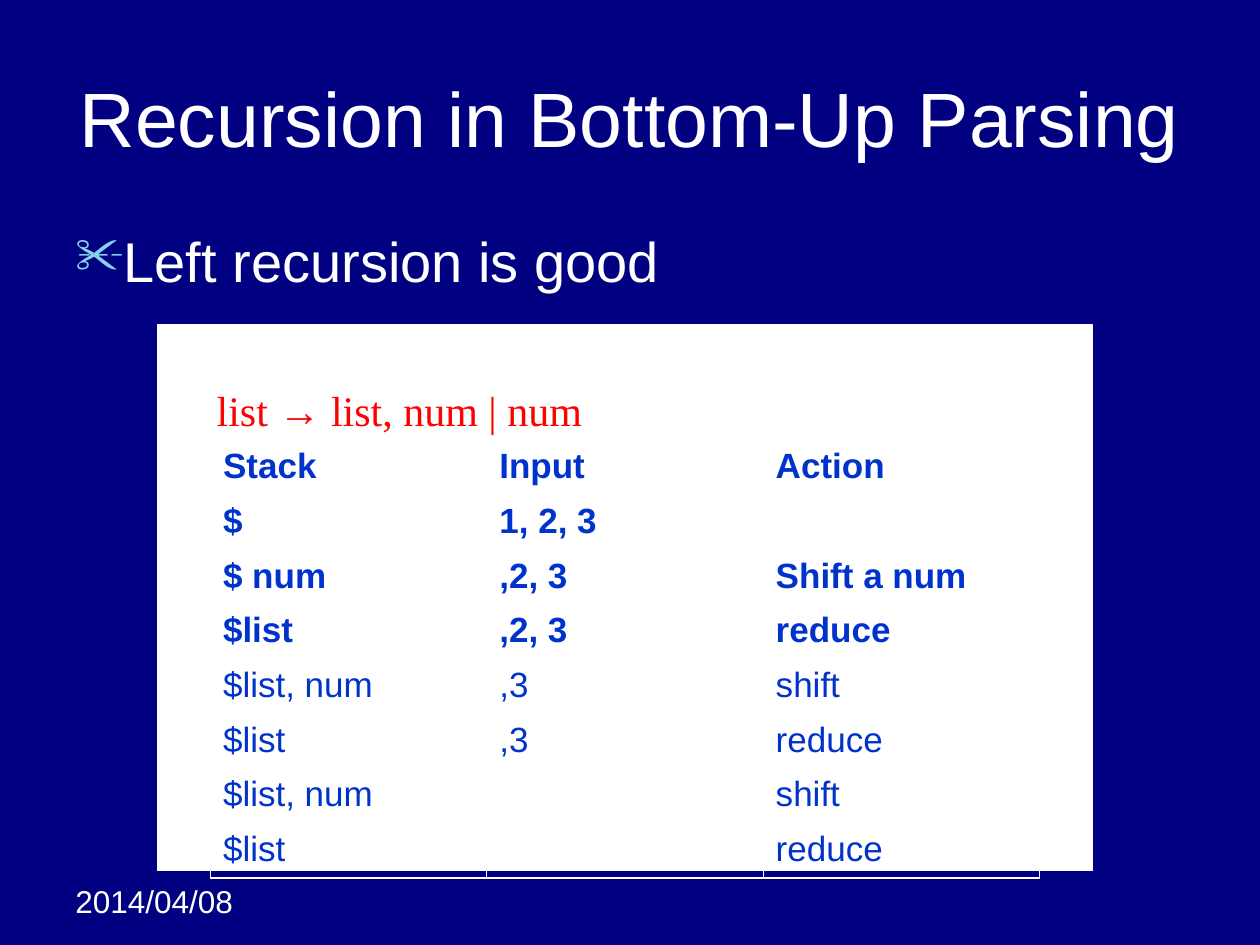
from dataclasses import dataclass
from typing import NamedTuple

from lxml.etree import SubElement
from pptx import Presentation
from pptx.dml.color import RGBColor
from pptx.enum.shapes import MSO_SHAPE
from pptx.enum.text import MSO_ANCHOR, PP_ALIGN
from pptx.oxml.ns import qn
from pptx.util import Inches, Pt


@dataclass(frozen=True)
class Theme:
    navy: str = "000080"
    white: str = "FFFFFF"
    blue: str = "0033CC"
    red: str = "FF0000"
    sky: str = "86D1EC"
    sans: str = "Arial"
    serif: str = "Times New Roman"
    title: int = 44
    body: int = 32
    rule: int = 24
    cell: int = 20
    date: int = 18
    thin: float = 0.45
    thick: float = 1.08


class Box(NamedTuple):
    left: float
    top: float
    width: float
    height: float

    def place(self) -> list:
        return [Inches(side) for side in self]


class Span(NamedTuple):
    text: str
    size: int
    color: str
    font: str = "Arial"
    bold: bool = False


class Label(NamedTuple):
    box: Box
    spans: list
    align: PP_ALIGN = PP_ALIGN.LEFT
    anchor: MSO_ANCHOR = MSO_ANCHOR.TOP
    wrap: bool = True
    bullet: str = ""


class Step(NamedTuple):
    stack: str
    input: str
    action: str
    bold: bool = False


THEME = Theme()

LABELS = [
    Label(Box(0.5, 6.95, 1.58, 0.4), [Span("2014/04/08", THEME.date, THEME.white)]),
    Label(
        Box(0.5, 0.3, 9, 1.25),
        [Span("Recursion in Bottom-Up Parsing", THEME.title, THEME.white)],
        PP_ALIGN.CENTER,
        MSO_ANCHOR.MIDDLE,
    ),
    Label(
        Box(0.5, 1.75, 9, 4.95),
        [Span("Left recursion is good", THEME.body, THEME.white)],
        bullet="✂",
    ),
]

RULE = Label(
    Box(1.62, 3, 3.1, 0.5),
    [
        Span("list ", THEME.rule, THEME.red, THEME.serif),
        Span("→", THEME.rule, THEME.red),
        Span(" list, num | num", THEME.rule, THEME.red, THEME.serif),
    ],
    PP_ALIGN.CENTER,
    wrap=False,
)

STEPS = [
    Step("Stack", "Input", "Action", True),
    Step("$", "1, 2, 3", "", True),
    Step("$ num", ",2, 3", "Shift a num", True),
    Step("$list", ",2, 3", "reduce", True),
    Step("$list, num", ",3", "shift"),
    Step("$list", ",3", "reduce"),
    Step("$list, num", "", "shift"),
    Step("$list", "", "reduce"),
]


def paint(slot, color: str) -> None:
    slot.solid()
    slot.fore_color.rgb = RGBColor.from_string(color)


def write(para, span: Span) -> None:
    run = para.add_run()
    run.text = span.text
    font = run.font
    font.name, font.size, font.bold = span.font, Pt(span.size), span.bold
    font.color.rgb = RGBColor.from_string(span.color)


def mark(para, sign: str) -> None:
    props = para._p.get_or_add_pPr()
    props.set("marL", str(Inches(0.38)))
    props.set("indent", str(-Inches(0.38)))
    tint = SubElement(props, qn("a:buClr"))
    SubElement(tint, qn("a:srgbClr"), val=THEME.sky)
    SubElement(props, qn("a:buSzPct"), val="90000")
    SubElement(props, qn("a:buChar"), char=sign)


def draw_label(slide, label: Label) -> None:
    frame = slide.shapes.add_textbox(*label.box.place()).text_frame
    frame.word_wrap = label.wrap
    frame.vertical_anchor = label.anchor
    para = frame.paragraphs[0]
    if label.bullet:
        mark(para, label.bullet)
    para.alignment = label.align
    for span in label.spans:
        write(para, span)


def draw_panel(slide, box: Box) -> None:
    panel = slide.shapes.add_shape(MSO_SHAPE.RECTANGLE, *box.place())
    panel.shadow.inherit = False
    paint(panel.fill, THEME.white)
    paint(panel.line.fill, THEME.white)
    panel.line.width = Pt(1)


def edge(cell, side: str, width: float) -> None:
    line = SubElement(cell._tc.get_or_add_tcPr(), qn(f"a:ln{side}"), w=str(Pt(width)))
    fill = SubElement(line, qn("a:solidFill"))
    SubElement(fill, qn("a:srgbClr"), val=THEME.white)


def draw_table(slide, box: Box, steps: list[Step]) -> None:
    rows, cols = len(steps), 3
    table = slide.shapes.add_table(rows, cols, *box.place()).table
    table.first_row = table.horz_banding = False
    for r, step in enumerate(steps):
        table.rows[r].height = Inches(box.height / rows)
        for c, text in enumerate(step[:cols]):
            cell = table.cell(r, c)
            outer = {"L": c == 0, "R": c == cols - 1, "T": r == 0, "B": r == rows - 1}
            for side, thick in outer.items():
                edge(cell, side, THEME.thick if thick else THEME.thin)
            cell.fill.background()
            if text:
                write(
                    cell.text_frame.paragraphs[0],
                    Span(text, THEME.cell, THEME.blue, bold=step.bold),
                )


def main() -> None:
    deck = Presentation()
    deck.slide_width, deck.slide_height = Inches(10), Inches(7.5)
    slide = deck.slides.add_slide(deck.slide_layouts[6])
    paint(slide.background.fill, THEME.navy)
    for label in LABELS:
        draw_label(slide, label)
    draw_panel(slide, Box(1.25, 2.58, 7.42, 4.33))
    draw_label(slide, RULE)
    draw_table(slide, Box(1.67, 3.5, 6.58, 3.47), STEPS)
    deck.save("out.pptx")


if __name__ == "__main__":
    main()
